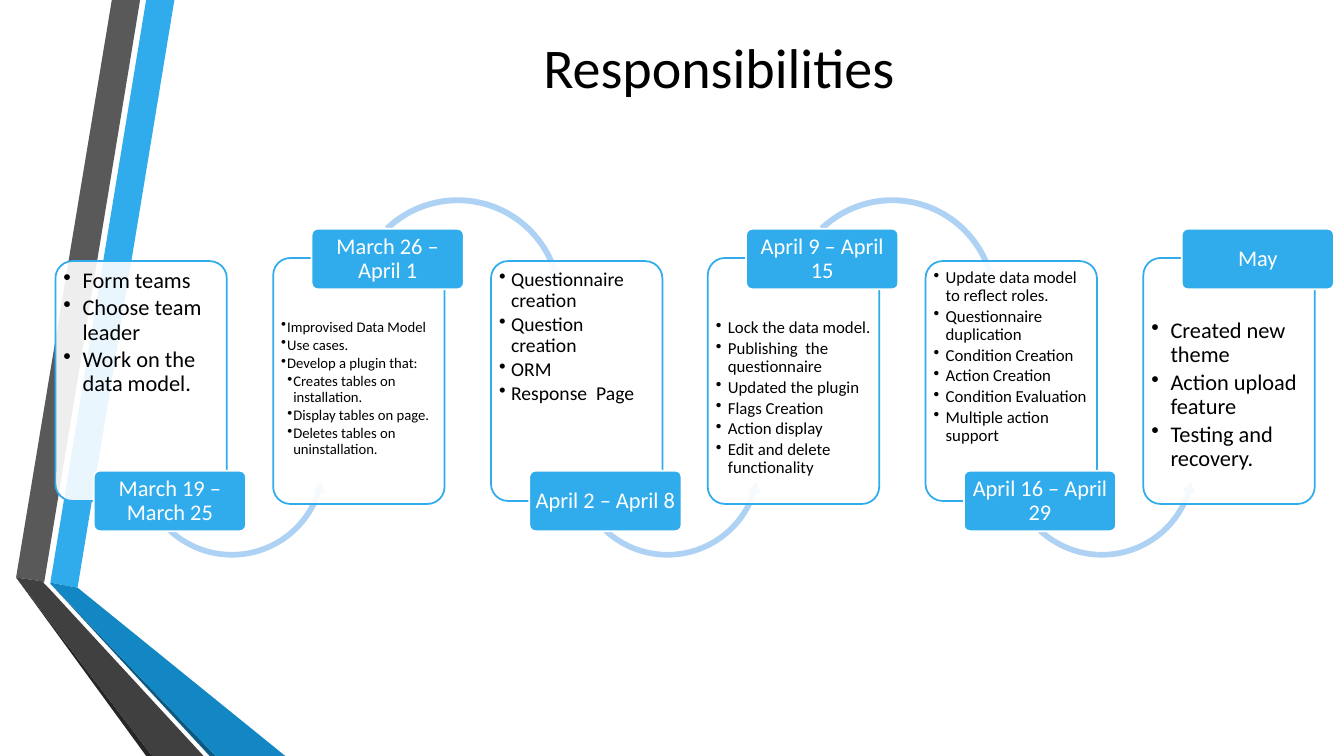
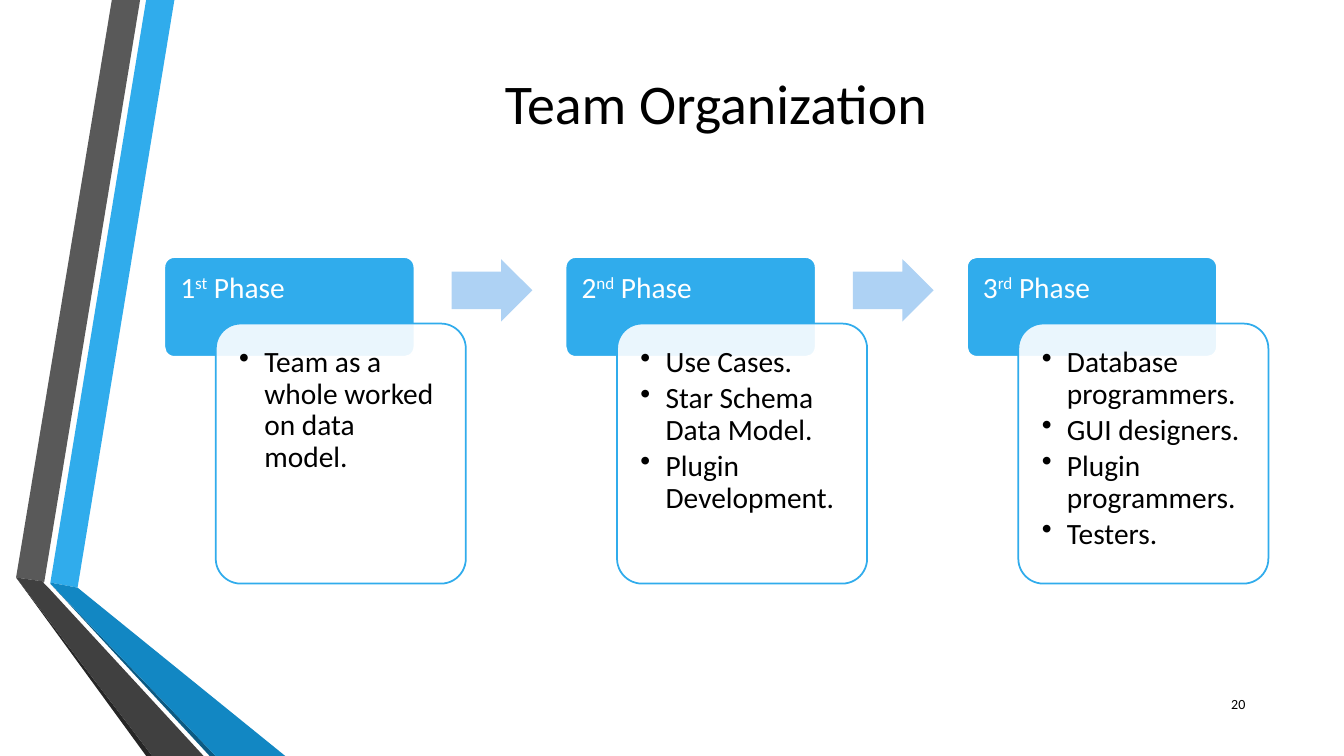
from lxml.etree import SubElement as Sub
from pptx import Presentation
from pptx.dml.color import RGBColor
from pptx.enum.shapes import MSO_SHAPE as Kind
from pptx.enum.text import MSO_ANCHOR as Anchor, PP_ALIGN as Align
from pptx.oxml.ns import qn
from pptx.util import Pt

PX = 9144  # 100 px to the inch
FONT = "Calibri"
BLACK = RGBColor(0x00, 0x00, 0x00)
WHITE = RGBColor(0xFF, 0xFF, 0xFF)
BLUE = RGBColor(0x30, 0xAC, 0xEC)
PALE = RGBColor(0xAE, 0xD2, 0xF4)
GREY = RGBColor(0x59, 0x59, 0x59)
INK = RGBColor(0x26, 0x26, 0x26)
NAVY = RGBColor(0x0C, 0x5A, 0x82)
OCEAN = RGBColor(0x12, 0x87, 0xC3)
SLATE = RGBColor(0x40, 0x40, 0x40)

BANDS = [
    (BLUE, [(50, 578), (77, 583), (173, 0), (145, 0)]),
    (GREY, [(139, 0), (111, 0), (16, 573), (44, 577)]),
    (INK, [(16, 573), (145, 750), (151, 750)]),
    (NAVY, [(50, 579), (208, 750), (214, 750)]),
    (OCEAN, [(50, 579), (214, 750), (283, 750), (77, 583), (50, 578)]),
    (SLATE, [(202, 750), (48, 583), (43, 578), (44, 577), (16, 573), (151, 750)]),
]

# date, text size, bullet indent, items as (level, text)
STEPS = [
    ("March 19 – March 25", 16, 19, [
        (1, "Form teams"), (1, "Choose team leader"),
        (1, "Work on the data model.")]),
    ("March 26 – April 1", 10.5, 6, [
        (1, "Improvised Data Model"), (1, "Use cases."),
        (1, "Develop a plugin that:"),
        (2, "Creates tables on installation."),
        (2, "Display tables on page."),
        (2, "Deletes tables on uninstallation.")]),
    ("April 2 – April 8", 14, 12, [
        (1, "Questionnaire creation"), (1, "Question  creation"),
        (1, "ORM"), (1, "Response  Page")]),
    ("April 9 – April 15", 12, 12, [
        (1, "Lock the data model."), (1, "Publishing  the questionnaire"),
        (1, "Updated the plugin"), (1, "Flags Creation"),
        (1, "Action display"), (1, "Edit and delete functionality")]),
    ("April 16 – April 29", 12, 12, [
        (1, "Update data model to reflect roles."),
        (1, "Questionnaire duplication"), (1, "Condition Creation"),
        (1, "Action Creation"), (1, "Condition Evaluation"),
        (1, "Multiple action support")]),
    ("May", 16, 19, [
        (1, "Created new theme"), (1, "Action upload feature"),
        (1, "Testing and recovery.")]),
]
STEP_GAP = 215.8
ARC_DOWN = (0.029, 3.61, 10.764, 79.643, 0.034)
ARC_UP = (0.027, 3.225, 205.039, 135.775, 0.031)

PHASES = [
    ("1", "st", ["Team as a whole worked on data model."]),
    ("2", "nd", ["Use Cases.", "Star Schema Data Model.", "Plugin Development."]),
    ("3", "rd", ["Database programmers.", "GUI designers.",
                 "Plugin programmers.", "Testers."]),
]
PHASE_GAP = 398


def place(shape, box):
    shape.left, shape.top, shape.width, shape.height = [v * PX for v in box]


def paint(shape, fill, line=None):
    shape.shadow.inherit = False
    shape.fill.solid()
    shape.fill.fore_color.rgb = fill
    if line is None:
        shape.line.fill.background()
    else:
        shape.line.color.rgb = line
        shape.line.width = Pt(1.25)


def draw(slide, kind, box, adj, fill, line=None):
    shape = slide.shapes.add_shape(kind, *[v * PX for v in box])
    for i, value in enumerate(adj):
        shape.adjustments[i] = value
    paint(shape, fill, line)
    return shape


def frame(shape, pads, anchor):
    """Set wrapping, insets (left, top, right, bottom) and anchor."""
    text = shape.text_frame
    text.word_wrap = True
    text.vertical_anchor = anchor
    (text.margin_left, text.margin_top,
     text.margin_right, text.margin_bottom) = [v * PX for v in pads]
    return text


def write(para, text, size, color, raised=False):
    run = para.add_run()
    run.text = text
    run.font.name = FONT
    run.font.size = Pt(size)
    run.font.color.rgb = color
    if raised:
        run.font._element.set("baseline", "30000")


def bullets(shape, items, size, indent, pads):
    text = frame(shape, pads, Anchor.TOP)
    for i, (level, item) in enumerate(items):
        para = text.add_paragraph() if i else text.paragraphs[0]
        para.alignment = Align.LEFT
        para.level = level
        para.line_spacing = 0.9
        para.space_after = Pt(round(size * 0.15, 1))
        props = para._p.get_or_add_pPr()
        props.set("marL", str(level * indent * PX))
        props.set("indent", str(-indent * PX))
        Sub(props, qn("a:buChar")).set("char", "•")
        write(para, item, size, BLACK)


def card(slide, box):
    """White rounded card that lets a tenth of the back show through."""
    shape = draw(slide, Kind.ROUNDED_RECTANGLE, box, [0.1], WHITE, BLUE)
    tint = shape.fill._xPr.find(qn("a:solidFill"))[0]
    Sub(tint, qn("a:alpha")).set("val", "90000")
    return shape


def tab(slide, box, pads, anchor, align):
    """Blue rounded label; gives back its paragraph."""
    shape = draw(slide, Kind.ROUNDED_RECTANGLE, box, [0.1], BLUE, WHITE)
    para = frame(shape, pads, anchor).paragraphs[0]
    para.alignment = align
    para.line_spacing = 0.9
    return para


def start(deck, layout, title, left, top):
    slide = deck.slides.add_slide(layout)
    head = slide.shapes.title
    place(head, (left, top, 1096, 92))
    para = frame(head, (10, 5, 10, 5), Anchor.MIDDLE).paragraphs[0]
    para.alignment = Align.CENTER
    write(para, title, 40, BLACK)
    return slide


def add_bands(slide, layout):
    """Draw the ribbons once and put them on the shared layout."""
    for color, points in BANDS:
        path = slide.shapes.build_freeform(*points[0], scale=PX)
        path.add_line_segments(points[1:], close=True)
        band = path.convert_to_shape()
        paint(band, color)
        layout.shapes.element.append(band._element)


def add_steps(slide):
    for i, (date, size, indent, items) in enumerate(STEPS):
        left = round(55 + i * STEP_GAP)
        upper = i % 2 == 1
        box = (left, 256, 170, 244) if upper else (left, 259, 170, 238)
        bullets(card(slide, box), items, size, indent,
                (3, 56 if upper else 3, 3, 3))
        if i < len(STEPS) - 1:
            if upper:
                draw(slide, Kind.CIRCULAR_ARROW, (left + 75, 192, 216, 216),
                     ARC_UP, PALE)
            else:
                draw(slide, Kind.LEFT_CIRCULAR_ARROW,
                     (left + 78, 363, 194, 194), ARC_DOWN, PALE)
        para = tab(slide, (left + 38, 227 if upper else 467, 151, 60),
                   (2, 2, 2, 2), Anchor.MIDDLE, Align.CENTER)
        write(para, date, 16, WHITE)


def add_phases(slide):
    for i, (number, suffix, items) in enumerate(PHASES):
        left = 163 + i * PHASE_GAP
        para = tab(slide, (left, 255, 248, 99), (13, 13, 13, 9),
                   Anchor.TOP, Align.LEFT)
        write(para, number, 21, WHITE)
        write(para, suffix, 21, WHITE, raised=True)
        write(para, " Phase", 21, WHITE)
        bullets(card(slide, (left + 51, 321, 248, 258)),
                [(1, item) for item in items], 21, 25, (16, 16, 16, 16))
        if i < len(PHASES) - 1:
            draw(slide, Kind.RIGHT_ARROW, (left + 285, 257, 80, 62),
                 (0.6, 0.5), PALE)


def add_number(slide, number):
    box = slide.shapes.add_textbox(*[v * PX for v in (1185, 678, 60, 40)])
    para = frame(box, (10, 5, 10, 5), Anchor.MIDDLE).paragraphs[0]
    para.alignment = Align.RIGHT
    write(para, number, 10, BLACK)


def main():
    deck = Presentation()
    deck.slide_width, deck.slide_height = 1333 * PX, 750 * PX
    layout = deck.slide_layouts[5]

    slide = start(deck, layout, "Responsibilities", 165, 20)
    add_bands(slide, layout)
    add_steps(slide)

    slide = start(deck, layout, "Team Organization", 162, 55)
    add_phases(slide)
    add_number(slide, "20")

    deck.save("out.pptx")


if __name__ == "__main__":
    main()
